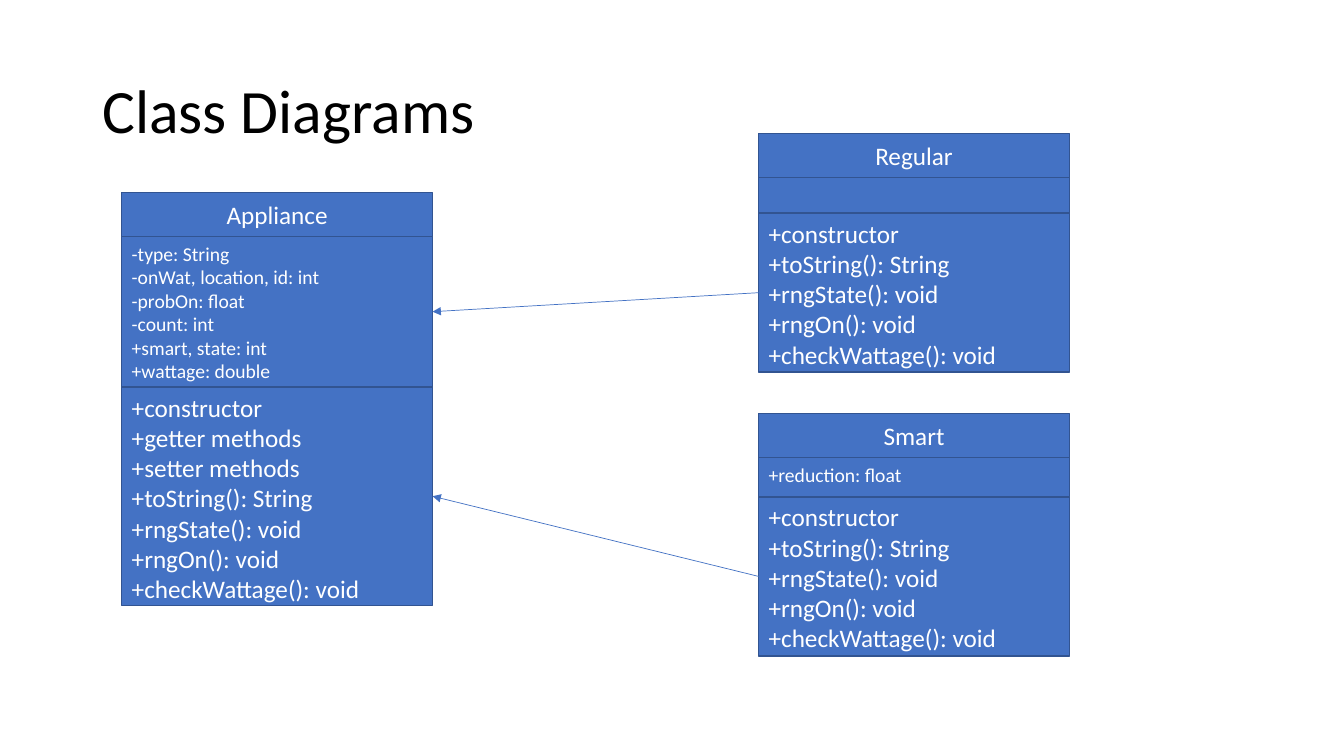
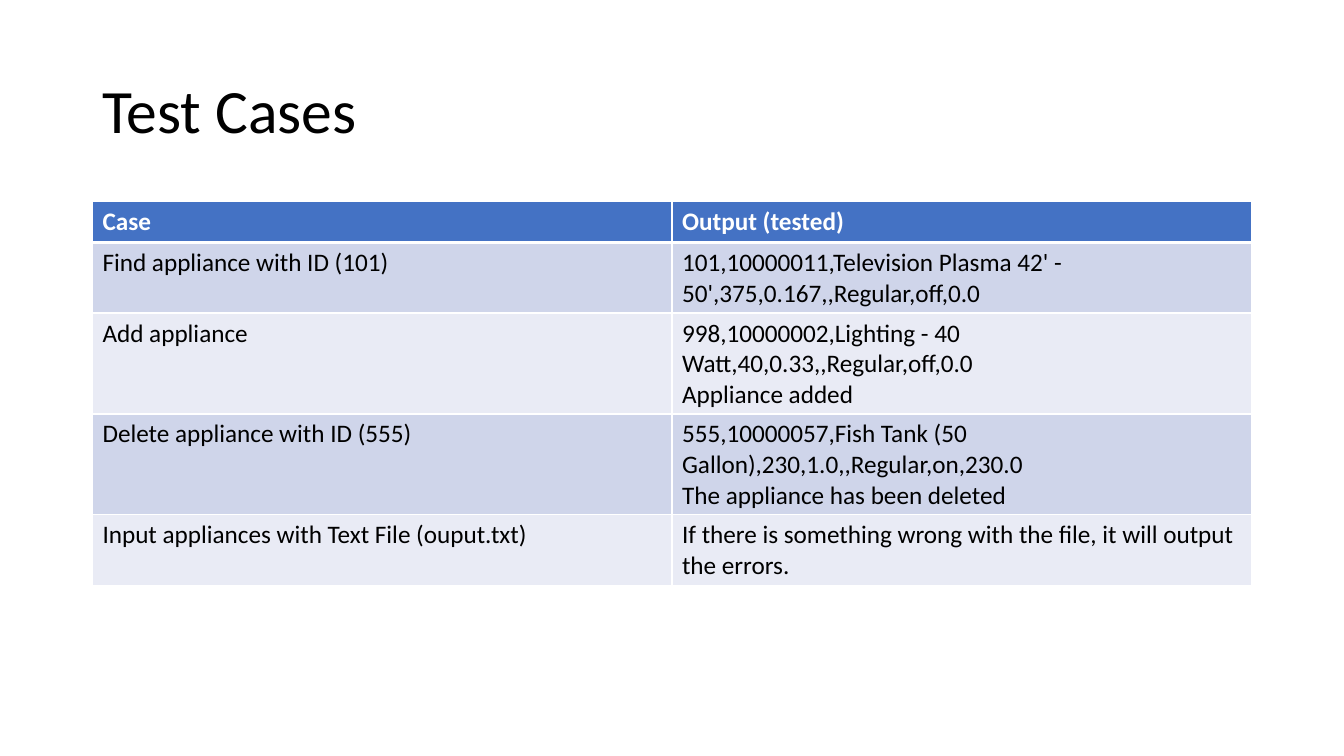
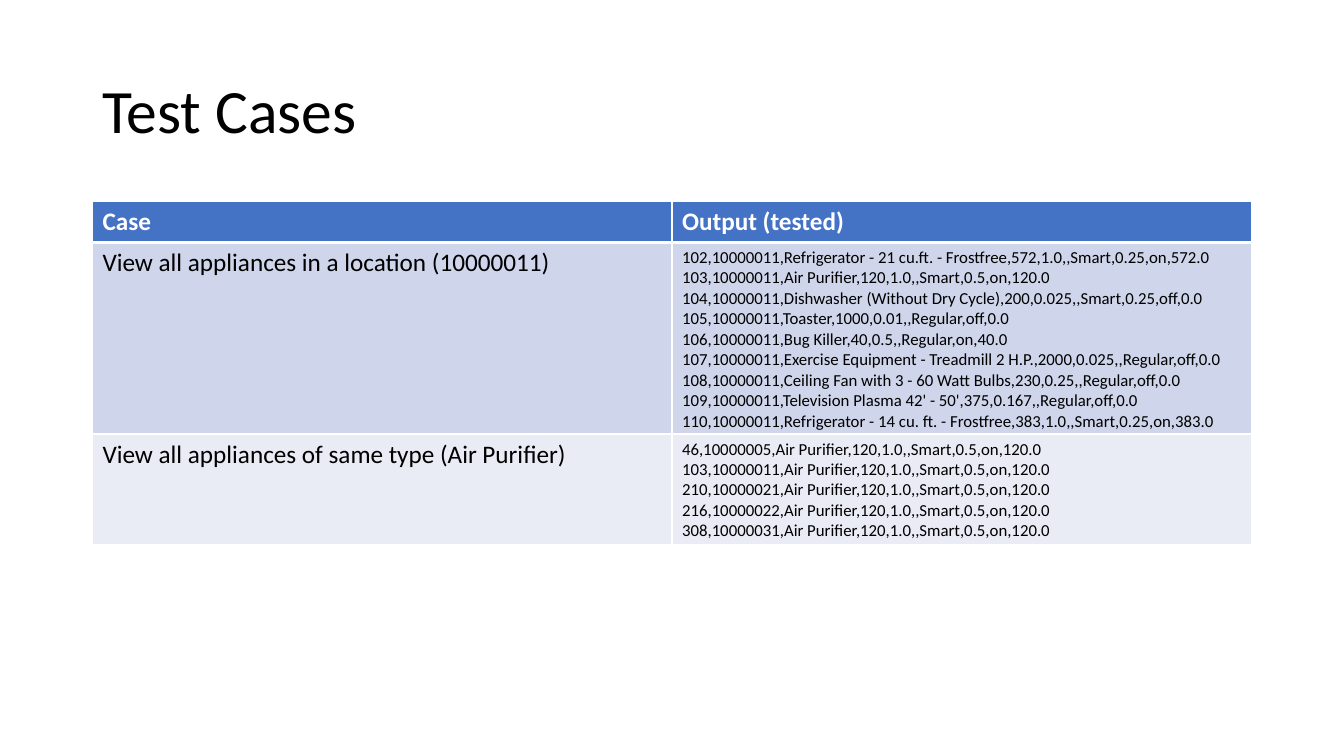
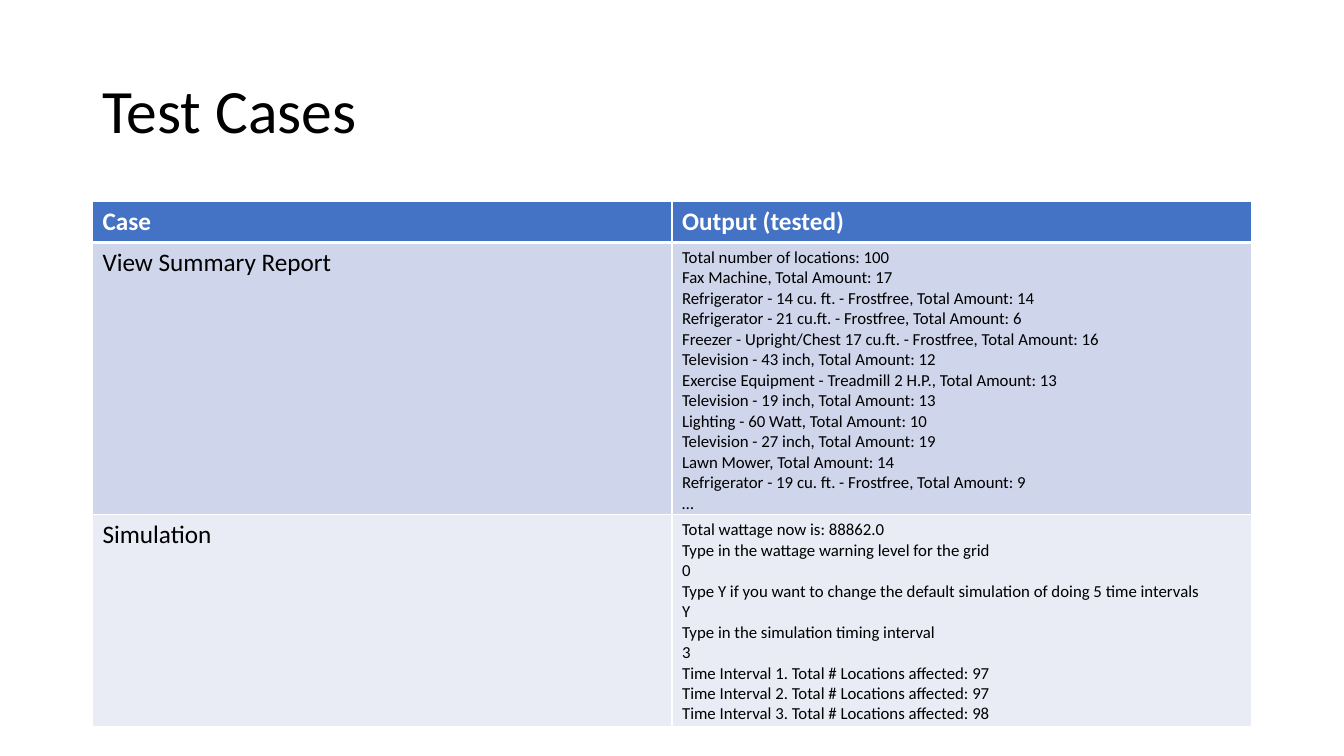
from dataclasses import dataclass

import lxml.etree
import pptx
import pptx.dml.color
import pptx.enum.shapes
import pptx.enum.text
import pptx.oxml.ns
import pptx.util

Cm = pptx.util.Cm
Pt = pptx.util.Pt
ALIGN = pptx.enum.text.PP_ALIGN
ANCHOR = pptx.enum.text.MSO_ANCHOR
qn = pptx.oxml.ns.qn

# Shared style
FONT = "Calibri"
BLACK, WHITE = "000000", "FFFFFF"
BLUE, BLUE_EDGE = "4472C4", "325491"
BANDS = ("CFD5EA", "E9EBF5")
MARGIN, CONTENT_W = Cm(2.33), Cm(29.21)
TABLE_TOP, ROW_H = Cm(5.08), Cm(1.03)
CLASS_W, NAME_H = Cm(7.83), Cm(1.11)
LEFT_SITE, RIGHT_SITE = 1, 3


@dataclass
class ClassBox:
    name: str
    left: float
    top: float
    attributes: str
    attributes_h: float
    methods: str
    methods_h: float


@dataclass
class Case:
    name: str
    output: str
    size: int = 18


# Content
SHARED_METHODS = """+toString(): String
+rngState(): void
+rngOn(): void
+checkWattage(): void"""

APPLIANCE = ClassBox("Appliance", 3.07, 4.85, """-type: String
-onWat, location, id: int
-probOn: float
-count: int
+smart, state: int
+wattage: double""", 3.79, "+constructor\n+getter methods\n+setter methods\n" + SHARED_METHODS, 5.51)
REGULAR = ClassBox("Regular", 19.12, 3.36, "", 0.9,
                   "+constructor\n" + SHARED_METHODS, 4.01)
SMART = ClassBox("Smart", 19.12, 10.42, "+reduction: float", 0.99,
                 "+constructor\n" + SHARED_METHODS, 4.01)

CASE_SLIDES = [
    [
        Case("Find appliance with ID (101)",
             "101,10000011,Television Plasma 42' - 50',375,0.167,,Regular,off,0.0"),
        Case("Add appliance",
             "998,10000002,Lighting - 40 Watt,40,0.33,,Regular,off,0.0\nAppliance added"),
        Case("Delete appliance with ID (555)",
             "555,10000057,Fish Tank (50 Gallon),230,1.0,,Regular,on,230.0\n"
             "The appliance has been deleted"),
        Case("Input appliances with Text File (ouput.txt)",
             "If there is something wrong with the file, it will output the errors."),
    ],
    [
        Case("View all appliances in a location (10000011)",
             """102,10000011,Refrigerator - 21 cu.ft. - Frostfree,572,1.0,,Smart,0.25,on,572.0
103,10000011,Air Purifier,120,1.0,,Smart,0.5,on,120.0
104,10000011,Dishwasher (Without Dry Cycle),200,0.025,,Smart,0.25,off,0.0
105,10000011,Toaster,1000,0.01,,Regular,off,0.0
106,10000011,Bug Killer,40,0.5,,Regular,on,40.0
107,10000011,Exercise Equipment - Treadmill 2 H.P.,2000,0.025,,Regular,off,0.0
108,10000011,Ceiling Fan with 3 - 60 Watt Bulbs,230,0.25,,Regular,off,0.0
109,10000011,Television Plasma 42' - 50',375,0.167,,Regular,off,0.0
110,10000011,Refrigerator - 14 cu. ft. - Frostfree,383,1.0,,Smart,0.25,on,383.0""", 12),
        Case("View all appliances of same type (Air Purifier)",
             """46,10000005,Air Purifier,120,1.0,,Smart,0.5,on,120.0
103,10000011,Air Purifier,120,1.0,,Smart,0.5,on,120.0
210,10000021,Air Purifier,120,1.0,,Smart,0.5,on,120.0
216,10000022,Air Purifier,120,1.0,,Smart,0.5,on,120.0
308,10000031,Air Purifier,120,1.0,,Smart,0.5,on,120.0""", 12),
    ],
    [
        Case("View Summary Report", """Total number of locations: 100
Fax Machine, Total Amount: 17
Refrigerator - 14 cu. ft. - Frostfree, Total Amount: 14
Refrigerator - 21 cu.ft. - Frostfree, Total Amount: 6
Freezer - Upright/Chest 17 cu.ft. - Frostfree, Total Amount: 16
Television - 43 inch, Total Amount: 12
Exercise Equipment - Treadmill 2 H.P., Total Amount: 13
Television - 19 inch, Total Amount: 13
Lighting - 60 Watt, Total Amount: 10
Television - 27 inch, Total Amount: 19
Lawn Mower, Total Amount: 14
Refrigerator - 19 cu. ft. - Frostfree, Total Amount: 9
…""", 12),
        Case("Simulation", """Total wattage now is: 88862.0
Type in the wattage warning level for the grid
0
Type Y if you want to change the default simulation of doing 5 time intervals
Y
Type in the simulation timing interval
3
Time Interval 1. Total # Locations affected: 97
Time Interval 2. Total # Locations affected: 97
Time Interval 3. Total # Locations affected: 98""", 12),
    ],
]


# Helpers
def rgb(color: str) -> pptx.dml.color.RGBColor:
    return pptx.dml.color.RGBColor.from_string(color)


def write(tf, text: str, *, size: int = 18, color: str = BLACK, bold: bool = False,
          align=ALIGN.LEFT, spacing: float = 1.0) -> None:
    """Write each line of the text as a paragraph."""
    for i, line in enumerate(text.split("\n")):
        p = tf.paragraphs[0] if i == 0 else tf.add_paragraph()
        p.alignment = align
        p.line_spacing = spacing
        r = p.add_run()
        r.text = line
        r.font.name = FONT
        r.font.size = Pt(size)
        r.font.bold = bold
        r.font.color.rgb = rgb(color)


def add_titled_slide(prs, title: str):
    s = prs.slides.add_slide(prs.slide_layouts[6])
    tf = s.shapes.add_textbox(MARGIN, Cm(1.01), CONTENT_W, Cm(3.68)).text_frame
    tf.word_wrap = True
    tf.vertical_anchor = ANCHOR.MIDDLE
    write(tf, title, size=44, spacing=0.9)
    return s


# Class diagram
def add_compartment(s, left: int, top: int, height: int, text: str, *,
                    anchor=ANCHOR.TOP, **text_format):
    sp = s.shapes.add_shape(pptx.enum.shapes.MSO_SHAPE.RECTANGLE, left, top, CLASS_W, height)
    sp.shadow.inherit = False
    sp.fill.solid()
    sp.fill.fore_color.rgb = rgb(BLUE)
    sp.line.color.rgb = rgb(BLUE_EDGE)
    sp.line.width = Pt(1)
    sp.text_frame.word_wrap = True
    sp.text_frame.vertical_anchor = anchor
    if text:
        write(sp.text_frame, text, color=WHITE, **text_format)
    return sp


def add_class(s, box: ClassBox) -> tuple:
    """Draw the three compartments; return those for attributes and methods."""
    left, top = Cm(box.left), Cm(box.top)
    add_compartment(s, left, top, NAME_H, box.name, anchor=ANCHOR.MIDDLE, align=ALIGN.CENTER)
    top += NAME_H
    attributes = add_compartment(s, left, top, Cm(box.attributes_h), box.attributes, size=14)
    top += Cm(box.attributes_h)
    methods = add_compartment(s, left, top, Cm(box.methods_h), box.methods)
    return attributes, methods


def add_arrow(s, source, target) -> None:
    cx = s.shapes.add_connector(pptx.enum.shapes.MSO_CONNECTOR.STRAIGHT, 0, 0, 0, 0)
    cx.begin_connect(source, LEFT_SITE)
    cx.end_connect(target, RIGHT_SITE)
    cx.line.color.rgb = rgb(BLUE)
    cx.line.width = Pt(0.5)
    sp_pr = cx.line._get_or_add_ln().getparent()
    lxml.etree.SubElement(sp_pr.find(qn("a:ln")), qn("a:tailEnd"), type="triangle")
    lxml.etree.SubElement(sp_pr, qn("a:effectLst"))


def add_class_slide(prs) -> None:
    s = add_titled_slide(prs, "Class Diagrams")
    targets = add_class(s, APPLIANCE)
    for box, target in zip((REGULAR, SMART), targets):
        add_arrow(s, add_class(s, box)[1], target)


# Test case tables
def set_borders(cell, top: float, bottom: float) -> None:
    tc_pr = cell._tc.get_or_add_tcPr()
    for side, width in (("L", 1), ("R", 1), ("T", top), ("B", bottom)):
        ln = lxml.etree.SubElement(tc_pr, qn(f"a:ln{side}"), w=str(Pt(width)))
        fill = lxml.etree.SubElement(ln, qn("a:solidFill"))
        lxml.etree.SubElement(fill, qn("a:srgbClr"), val=WHITE)


def fill_cell(cell, text: str, fill: str, *, top: float = 1, bottom: float = 1,
              **text_format) -> None:
    set_borders(cell, top, bottom)
    cell.fill.solid()
    cell.fill.fore_color.rgb = rgb(fill)
    write(cell.text_frame, text, **text_format)


def add_case_slide(prs, cases: list[Case]) -> None:
    s = add_titled_slide(prs, "Test Cases")
    rows = len(cases) + 1
    table = s.shapes.add_table(rows, 2, MARGIN, TABLE_TOP, CONTENT_W, ROW_H * rows).table
    for col, heading in enumerate(("Case", "Output (tested)")):
        fill_cell(table.cell(0, col), heading, BLUE, bottom=3, color=WHITE, bold=True)
    for row, case in enumerate(cases, start=1):
        band = BANDS[(row - 1) % 2]
        top = 3 if row == 1 else 1
        fill_cell(table.cell(row, 0), case.name, band, top=top)
        fill_cell(table.cell(row, 1), case.output, band, top=top, size=case.size)


def main() -> None:
    prs = pptx.Presentation()
    prs.slide_width, prs.slide_height = Cm(33.87), Cm(19.05)
    add_class_slide(prs)
    for cases in CASE_SLIDES:
        add_case_slide(prs, cases)
    prs.save("out.pptx")


if __name__ == "__main__":
    main()
